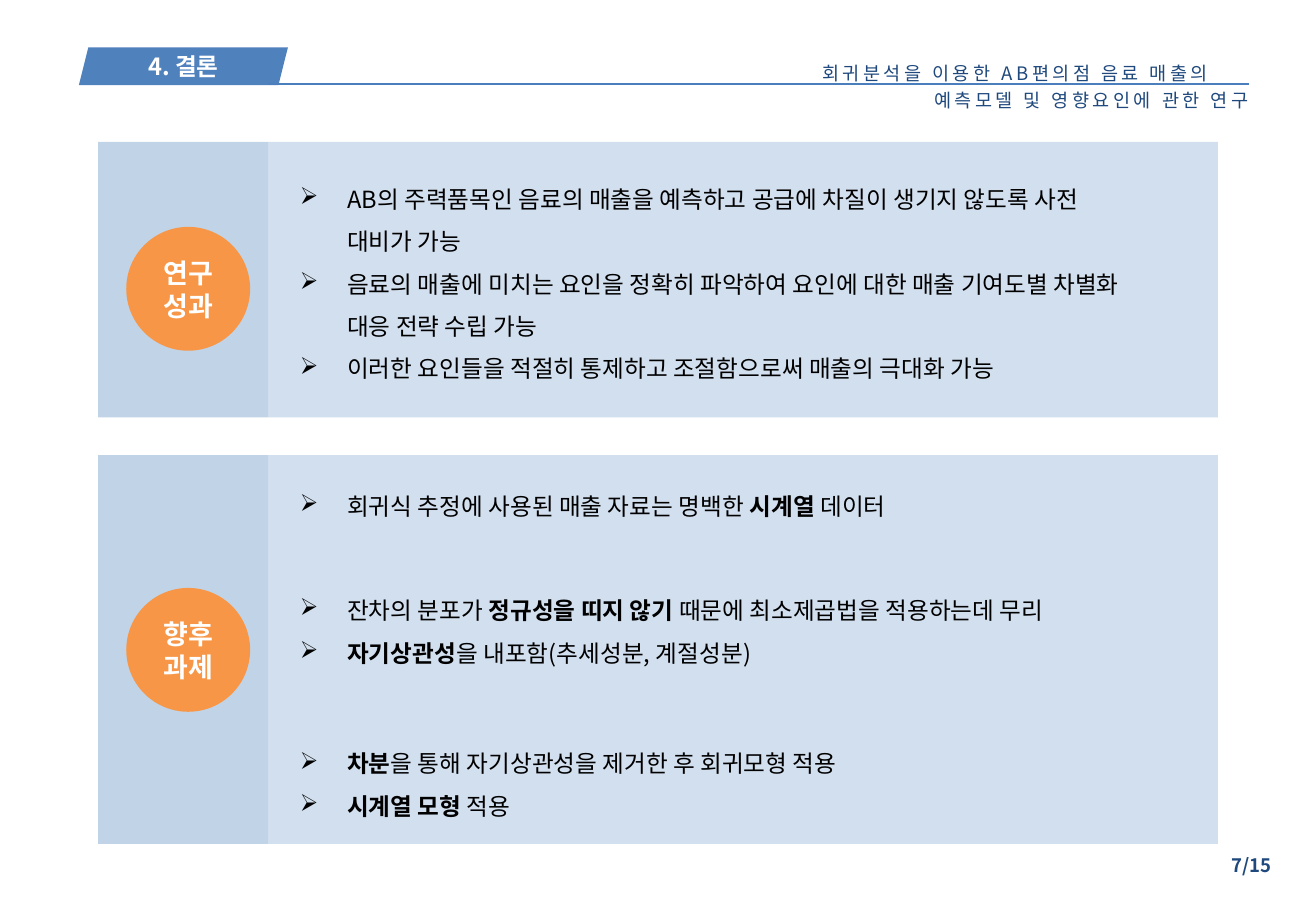
from pptx import Presentation
from pptx import util as u
from pptx.dml.color import RGBColor
from pptx.enum import shapes, text
from pptx.oxml import ns
from lxml import etree

Cm, Pt = u.Cm, u.Pt
FONT = "Noto Sans CJK KR"
COLORS = {"blue": "4F81BD", "rule": "4B7EBC", "navy": "1F497D",
          "orange": "F79646", "white": "FFFFFF", "black": "000000"}
BULLET_PITCH = 25.1  # points between bullet lines
PANEL_LEFT, LABEL_WIDTH, BODY_WIDTH = 2.05, 3.57, 19.84
CIRCLE = 2.59

PANELS = [
    {"top": 2.97, "height": 5.76, "label": "연구성과", "circle_middle": 6.04,
     "groups": [
         (5.79, 5, ["AB의 주력품목인 음료의 매출을 예측하고 공급에 차질이 생기지 않도록 사전 대비가 가능",
                    "음료의 매출에 미치는 요인을 정확히 파악하여 요인에 대한 매출 기여도별 차별화 대응 전략 수립 가능",
                    "이러한 요인들을 적절히 통제하고 조절함으로써 매출의 극대화 가능"])]},
    {"top": 9.52, "height": 8.13, "label": "향후과제", "circle_middle": 13.59,
     "groups": [
         (10.44, 1, ["회귀식 추정에 사용된 매출 자료는 명백한 **시계열** 데이터"]),
         (13.06, 2, ["잔차의 분포가 **정규성을 띠지 않기** 때문에 최소제곱법을 적용하는데 무리",
                     "**자기상관성**을 내포함(추세성분, 계절성분)"]),
         (16.26, 2, ["**차분**을 통해 자기상관성을 제거한 후 회귀모형 적용",
                     "**시계열 모형 **적용"])]},
]


def color(name):
    return RGBColor.from_string(COLORS[name])


def add_child(parent, tag, **attributes):
    return etree.SubElement(parent, ns.qn(tag), attributes)


def write(shape, lines, size=14, fill="black", bold=False, align="LEFT",
          anchor="MIDDLE", pitch=17, bullet=None, spacing=None, indents=None):
    """Fill a shape with paragraphs; ** switches bold on and off."""
    frame = shape.text_frame
    frame.word_wrap = True
    frame.vertical_anchor = getattr(text.MSO_ANCHOR, anchor)
    for number, line in enumerate(lines):
        paragraph = frame.paragraphs[0] if number == 0 else frame.add_paragraph()
        paragraph.alignment = getattr(text.PP_ALIGN, align)
        paragraph.line_spacing = Pt(pitch)
        paragraph.space_before = Pt(0)
        properties = paragraph._p.get_or_add_pPr()
        if bullet:
            properties.set("marL", str(Cm(0.99)))
            properties.set("indent", str(-Cm(0.99)))
            add_child(properties, "a:buChar", char=bullet)
        elif indents:
            properties.set("marL", str(Cm(indents[number])))
        for part, words in enumerate(line.split("**")):
            if not words:
                continue
            run = paragraph.add_run()
            run.text = words
            run.font.size, run.font.name = Pt(size), FONT
            run.font.bold = bold or part % 2 == 1
            run.font.color.rgb = color(fill)
            run_properties = run._r.get_or_add_rPr()
            add_child(run_properties, "a:ea", typeface=FONT)
            if spacing:
                run_properties.set("spc", str(spacing * 100))


def add_filled(slide, kind, left, top, width, height, fill, opacity=None):
    shape = slide.shapes.add_shape(getattr(shapes.MSO_SHAPE, kind),
                                   Cm(left), Cm(top), Cm(width), Cm(height))
    shape.shadow.inherit = False
    shape.fill.solid()
    shape.fill.fore_color.rgb = color(fill)
    shape.line.fill.background()
    if opacity:
        solid = shape._element.spPr.find(ns.qn("a:solidFill"))
        add_child(solid[0], "a:alpha", val=str(opacity * 1000))
    return shape


def add_text(slide, left, top, width, height, lines, **style):
    box = slide.shapes.add_textbox(Cm(left), Cm(top), Cm(width), Cm(height))
    write(box, lines, **style)


def add_header(slide):
    add_text(slide, 16.94, 1.07, 10.31, 1.4,
             ["회귀분석을 이용한 AB편의점 음료 매출의", "예측모델 및 영향요인에 관한 연구"],
             size=11, fill="navy", anchor="TOP", pitch=16, spacing=2, indents=(0, 2.34))
    # Section tab with the title on it
    tab = (1.65, 0.99, 4.37, 0.79)
    add_filled(slide, "PARALLELOGRAM", *tab, "blue")
    title = slide.shapes.title
    title.left, title.top, title.width, title.height = map(Cm, tab)
    write(title, ["4. 결론"], fill="white", bold=True, align="CENTER")
    title.text_frame.auto_size = text.MSO_AUTO_SIZE.NONE
    slide.shapes._spTree.append(title._element)
    # Rule below the header
    rule = slide.shapes.add_connector(shapes.MSO_CONNECTOR.STRAIGHT,
                                      Cm(5.61), Cm(1.76), Cm(26.11), Cm(1.76))
    rule.line.color.rgb, rule.line.width = color("rule"), Pt(1)
    add_child(rule._element.spPr, "a:effectLst")


def add_panel(slide, panel):
    top, height = panel["top"], panel["height"]
    add_filled(slide, "RECTANGLE", PANEL_LEFT, top, LABEL_WIDTH, height, "blue", 35)
    add_filled(slide, "RECTANGLE", PANEL_LEFT + LABEL_WIDTH, top, BODY_WIDTH, height,
               "blue", 25)
    circle = add_filled(slide, "OVAL", 2.64, panel["circle_middle"] - CIRCLE / 2,
                        CIRCLE, CIRCLE, "orange")
    write(circle, [panel["label"]], size=16, fill="white", bold=True,
          align="CENTER", pitch=19.5)
    for middle, line_count, bullets in panel["groups"]:
        box_height = line_count * Pt(BULLET_PITCH).cm + 0.25
        add_text(slide, 6.02, middle - box_height / 2, 18.26, box_height, bullets,
                 pitch=BULLET_PITCH, bullet="➢")


def main():
    presentation = Presentation()
    presentation.slide_width, presentation.slide_height = Cm(27.51), Cm(19.05)
    slide = presentation.slides.add_slide(presentation.slide_layouts[5])
    add_header(slide)
    for panel in PANELS:
        add_panel(slide, panel)
    # Page number
    add_text(slide, 20.9, 17.73, 5.94, 0.74, ["7/15"], size=11, fill="navy",
             bold=True, align="RIGHT", anchor="TOP", pitch=13.4)
    presentation.save("out.pptx")


if __name__ == "__main__":
    main()
